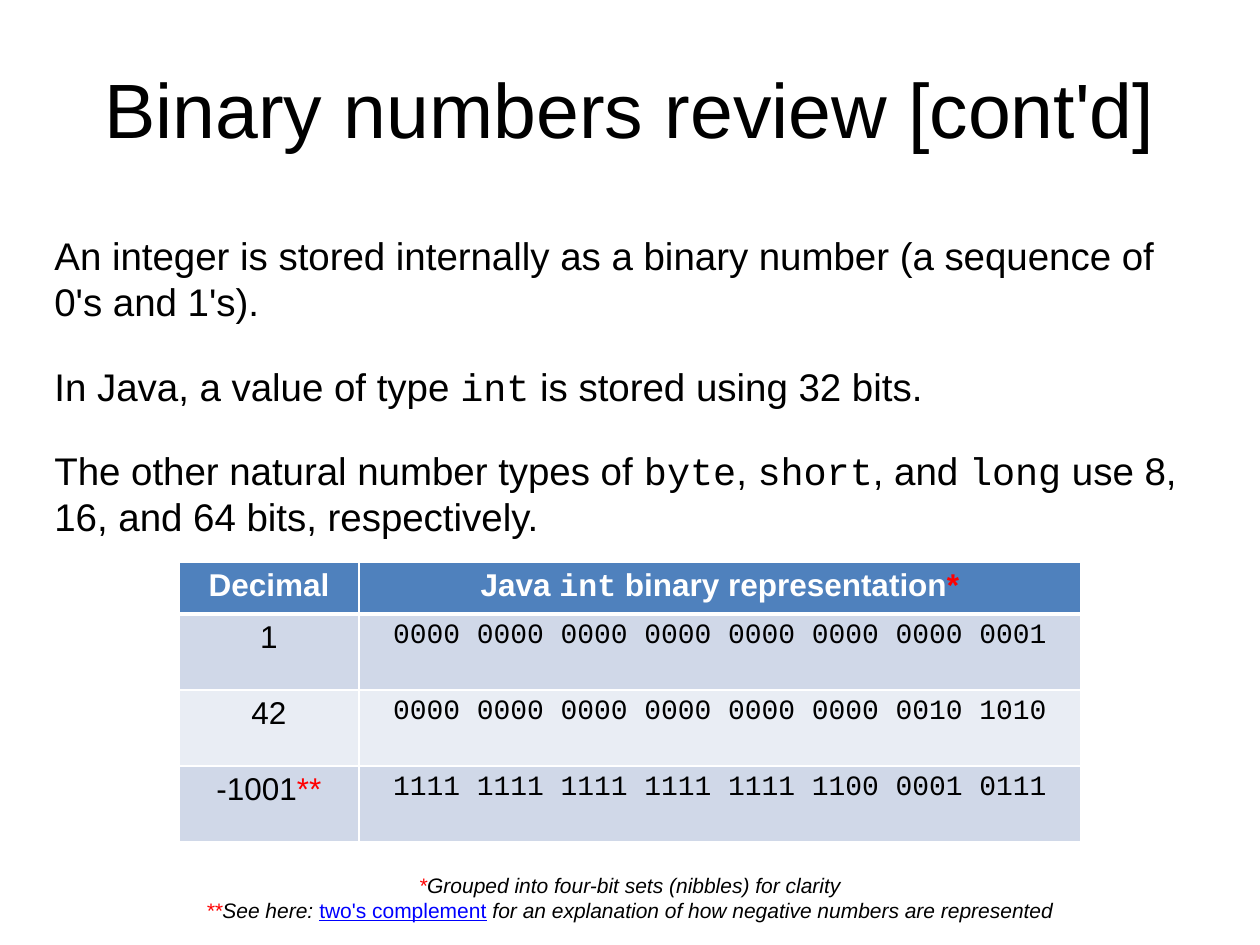
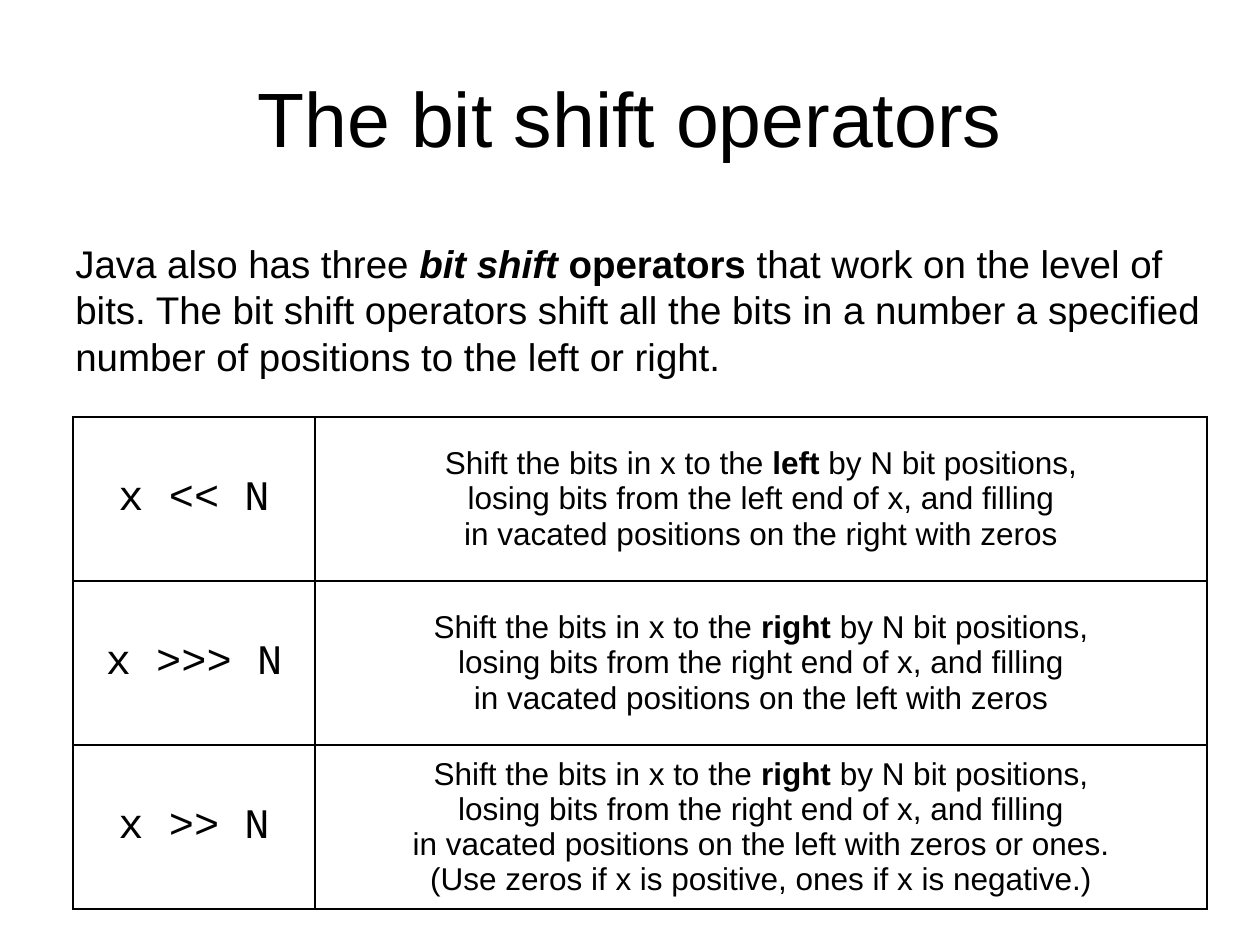
import pptx
import pptx.util
import pptx.dml.color
import pptx.enum.text
import pptx.oxml

BLACK = pptx.dml.color.RGBColor(0x00, 0x00, 0x00)
WHITE = pptx.dml.color.RGBColor(0xFF, 0xFF, 0xFF)
RED = pptx.dml.color.RGBColor(0xFF, 0x00, 0x00)
LINK_BLUE = pptx.dml.color.RGBColor(0x00, 0x00, 0xFF)
HEADER_BLUE = pptx.dml.color.RGBColor(0x4F, 0x81, 0xBD)
BAND_DARK = pptx.dml.color.RGBColor(0xD0, 0xD8, 0xE8)
BAND_LIGHT = pptx.dml.color.RGBColor(0xE9, 0xED, 0xF4)

PX = 914400 / 126
NAMESPACE = "http://schemas.openxmlformats.org/drawingml/2006/main"
LEFT = pptx.enum.text.PP_ALIGN.LEFT
CENTER = pptx.enum.text.PP_ALIGN.CENTER
TOP = pptx.enum.text.MSO_ANCHOR.TOP
MIDDLE = pptx.enum.text.MSO_ANCHOR.MIDDLE

CODE = {"name": "Courier New"}
BOLD = {"bold": True}
ITALIC = {"italic": True}
MARK = {"color": RED}


def write(frame, paragraphs, size, align=LEFT, gap=0, base={}):
    frame.word_wrap = True
    for index, runs in enumerate(paragraphs):
        paragraph = frame.add_paragraph() if index else frame.paragraphs[0]
        paragraph.alignment = align
        if index:
            paragraph.space_before = pptx.util.Pt(gap)
        for text, look in runs:
            for number, line in enumerate(text.split("\n")):
                if number:
                    paragraph.add_line_break()
                run = paragraph.add_run()
                run.text = line
                style = {"size": pptx.util.Pt(size), "name": "Arial", "color": BLACK} | base | look
                run.font.color.rgb = style.pop("color")
                for key, value in style.items():
                    setattr(run.font, key, value)


def add_grid(slide, left, top, widths, heights, line_color, line_widths):
    lengths = [round(n * PX) for n in (left, top, sum(widths), sum(heights))]
    grid = slide.shapes.add_table(len(heights), len(widths), *lengths).table
    grid.first_row = grid.horz_banding = False
    for column, width in zip(grid.columns, widths):
        column.width = round(width * PX)
    for index, (row, height) in enumerate(zip(grid.rows, heights)):
        row.height = round(height * PX)
        above, below = line_widths[index:index + 2]
        side = line_widths[0]
        for cell in row.cells:
            for edge, points in (("L", side), ("R", side), ("T", above), ("B", below)):
                cell._tc.get_or_add_tcPr().append(pptx.oxml.parse_xml(
                    f'<a:ln{edge} xmlns:a="{NAMESPACE}" w="{round(points * 12700)}">'
                    f'<a:solidFill><a:srgbClr val="{line_color}"/></a:solidFill></a:ln{edge}>'))
    return grid


deck = pptx.Presentation()
deck.slide_width = round(1260 * PX)
deck.slide_height = round(945 * PX)

review, shifts = [deck.slides.add_slide(deck.slide_layouts[6]) for _ in range(2)]

text_blocks = [
    (review, (63, 29, 1134, 158), MIDDLE, 44, CENTER, 0, {}, [
        [("Binary numbers review [cont'd]", {})]]),
    (review, (42, 226, 1176, 318), TOP, 22, LEFT, 21.7, {}, [
        [("An integer is stored internally as a binary number (a sequence of 0's and 1's).", {})],
        [("In Java, a value of type ", {}), ("int", CODE), (" is stored using 32 bits.", {})],
        [("The other natural number types of ", {}), ("byte", CODE), (", ", {}),
         ("short", CODE), (", and ", {}), ("long", CODE),
         (" use 8, 16, and 64 bits, respectively.", {})]]),
    (review, (42, 866, 1176, 62), TOP, 12, CENTER, 0, ITALIC, [
        [("*", MARK), ("Grouped into four-bit sets (nibbles) for clarity", {})],
        [("**", MARK), ("See here: ", {}),
         ("two's complement", {"color": LINK_BLUE, "italic": False, "underline": True}),
         (" for an explanation of how negative numbers are represented", {})]]),
    (shifts, (0, 38, 1260, 158), MIDDLE, 44, CENTER, 0, {}, [
        [("The bit shift operators", {})]]),
    (shifts, (63, 234, 1155, 152), TOP, 22, LEFT, 0, {}, [
        [("Java also has three ", {}), ("bit shift", BOLD | ITALIC), (" operators", BOLD),
         (" that work on the level of bits. The bit shift operators shift all the bits "
          "in a number a specified number of positions to the left or right.", {})]]),
]
for slide, place, anchor, size, align, gap, base, paragraphs in text_blocks:
    block = slide.shapes.add_textbox(*[round(n * PX) for n in place])
    block.text_frame.vertical_anchor = anchor
    write(block.text_frame, paragraphs, size, align, gap, base)

HEADING = BOLD | {"color": WHITE}
representations = [
    ([("Decimal", HEADING)],
     [("Java ", HEADING), ("int", HEADING | CODE), (" binary representation", HEADING),
      ("*", BOLD | MARK)]),
    ([("1", {})], [("0000 0000 0000 0000 0000 0000 0000 0001", CODE)]),
    ([("42", {})], [("0000 0000 0000 0000 0000 0000 0010 1010", CODE)]),
    ([("-1001", {}), ("**", MARK)], [("1111 1111 1111 1111 1111 1100 0001 0111", CODE)]),
]
binary_grid = add_grid(review, 179, 562, [180, 722], [52, 76, 76, 76], WHITE, [1, 3, 1, 1, 1])
row_fills = [HEADER_BLUE, BAND_DARK, BAND_LIGHT, BAND_DARK]
for index, (row, contents) in enumerate(zip(binary_grid.rows, representations)):
    sizes = (18, 16) if index else (18, 18)
    for cell, runs, size in zip(row.cells, contents, sizes):
        cell.fill.solid()
        cell.fill.fore_color.rgb = row_fills[index]
        write(cell.text_frame, [runs], size, CENTER)

operators = [
    ("x << N", "left", "right", "zeros"),
    ("x >>> N", "right", "left", "zeros"),
    ("x >> N", "right", "left",
     "zeros or ones.\n(Use zeros if x is positive, ones if x is negative.)"),
]
shift_grid = add_grid(shifts, 73, 417, [242, 892], [164] * 3, BLACK, [0.75] * 4)
for row, (operator, direction, vacated, filler) in zip(shift_grid.rows, operators):
    meaning = [
        ("Shift the bits in x to the ", {}), (direction, BOLD),
        (f" by N bit positions,\nlosing bits from the {direction} end of x, and filling\n"
         f"in vacated positions on the {vacated} with {filler}", {})]
    for cell, runs, size in zip(row.cells, ([(operator, CODE)], meaning), (24, 18)):
        cell.fill.solid()
        cell.fill.fore_color.rgb = WHITE
        cell.vertical_anchor = MIDDLE
        write(cell.text_frame, [runs], size, CENTER)

deck.save("out.pptx")
